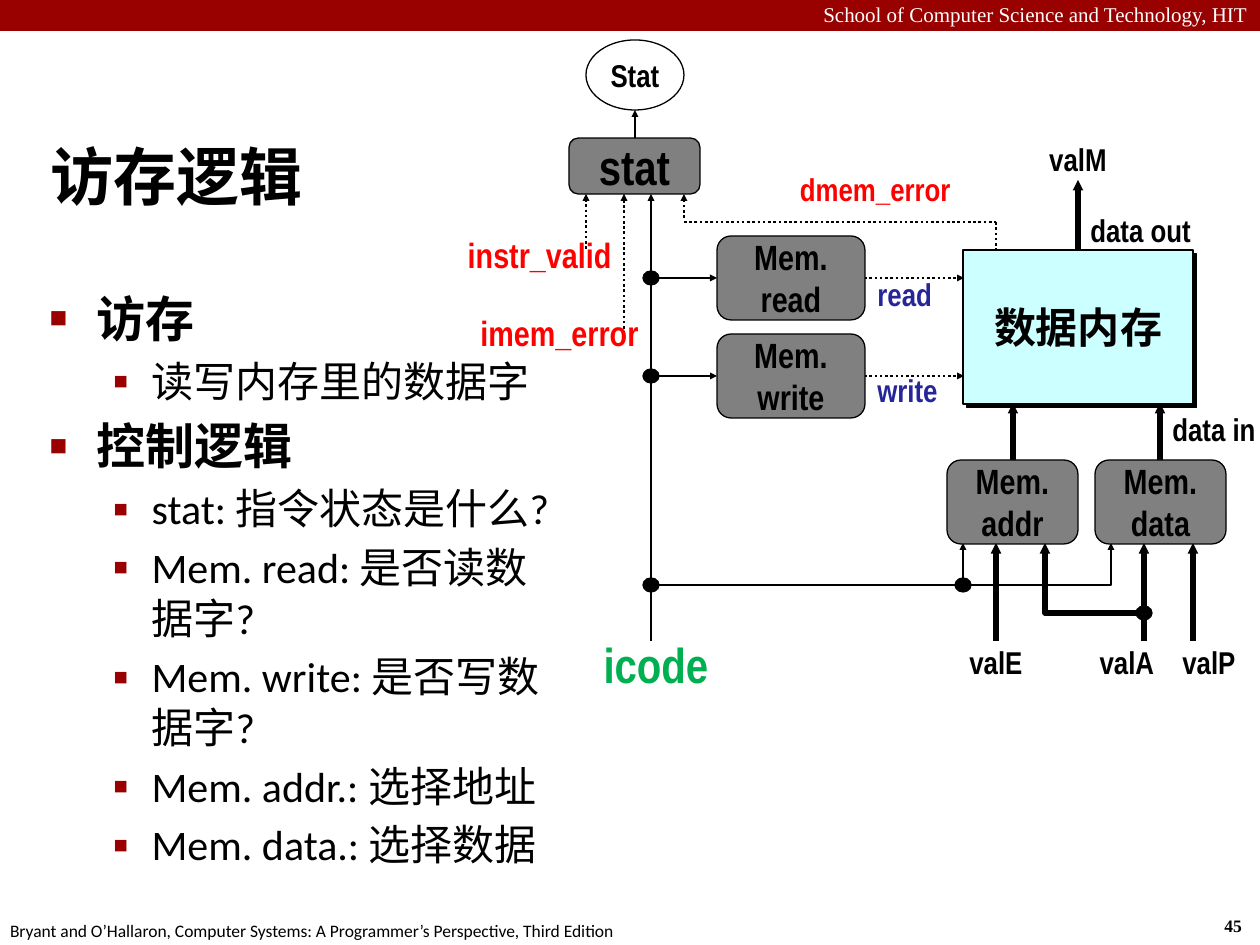
from dataclasses import dataclass

from lxml.etree import SubElement
from pptx import Presentation
from pptx.dml.color import RGBColor
from pptx.enum.dml import MSO_LINE
from pptx.enum.shapes import MSO_CONNECTOR, MSO_SHAPE
from pptx.enum.text import MSO_ANCHOR, MSO_AUTO_SIZE, PP_ALIGN
from pptx.oxml.ns import qn
from pptx.util import Pt

EMU_PER_PX = 914400 / 126


@dataclass(frozen=True)
class Theme:
    """Colours, fonts and type sizes of the slide."""
    red: str = "990000"
    white: str = "FFFFFF"
    black: str = "000000"
    grey: str = "808080"
    cyan: str = "CCFFFF"
    signal: str = "FF0000"
    control: str = "262699"
    green: str = "00B050"
    body_font: str = "Calibri"
    label_font: str = "Arial Narrow"
    header_font: str = "Times New Roman"
    title: int = 36
    large: int = 28
    medium: int = 24
    block: int = 20
    label: int = 18
    header: int = 12
    footer: int = 10
    thin: float = 0.75
    wire: float = 1
    dotted: float = 1.5
    bus: float = 3


THEME = Theme()


def px(value):
    """Turn pixels into EMU."""
    return round(value * EMU_PER_PX)


def rgb(value):
    """Turn a hex string into a colour."""
    return RGBColor.from_string(value)


def add_run(paragraph, text, size, font, color=THEME.black, bold=True):
    """Add one formatted run to a paragraph."""
    run = paragraph.add_run()
    run.text = text
    run.font.size = Pt(size)
    run.font.name = font
    run.font.bold = bold
    run.font.color.rgb = rgb(color)


def add_text(slide, box, text, size, color=THEME.black, font=THEME.label_font,
             bold=True, align=PP_ALIGN.LEFT, wrap=True):
    """Add a one-line text box."""
    frame = slide.shapes.add_textbox(*map(px, box)).text_frame
    frame.word_wrap = wrap
    if wrap and align == PP_ALIGN.LEFT:
        frame.margin_right = 0
    paragraph = frame.paragraphs[0]
    paragraph.alignment = align
    add_run(paragraph, text, size, font, color, bold)


def add_node(slide, kind, box, lines=(), size=THEME.label, fill=None,
             color=THEME.black, outline=True):
    """Add a preset shape with centred lines of text."""
    shape = slide.shapes.add_shape(kind, *map(px, box))
    shape.shadow.inherit = False
    if fill:
        shape.fill.solid()
        shape.fill.fore_color.rgb = rgb(fill)
    else:
        shape.fill.background()
    if outline:
        shape.line.color.rgb = rgb(THEME.black)
        shape.line.width = Pt(THEME.thin)
    else:
        shape.line.fill.background()
    frame = shape.text_frame
    frame.word_wrap = False
    frame.vertical_anchor = MSO_ANCHOR.MIDDLE
    for index, text in enumerate(lines):
        paragraph = frame.add_paragraph() if index else frame.paragraphs[0]
        paragraph.alignment = PP_ALIGN.CENTER
        add_run(paragraph, text, size, THEME.label_font, color)
    return shape


def add_hard_shadow(shape):
    """Give a shape a solid offset shadow."""
    effects = shape.element.spPr.find(qn("a:effectLst"))
    shadow = SubElement(effects, qn("a:outerShdw"), dist=str(Pt(2.8)),
                        dir="2700000", algn="ctr", rotWithShape="0")
    SubElement(shadow, qn("a:srgbClr"), val=THEME.black)


def style_wire(shape, width, dotted, arrow):
    """Format a wire and put an arrowhead at its end."""
    shape.line.color.rgb = rgb(THEME.black)
    shape.line.width = Pt(width)
    if dotted:
        shape.line.dash_style = MSO_LINE.ROUND_DOT
    if arrow:
        line = shape.element.spPr.find(qn("a:ln"))
        SubElement(line, qn("a:tailEnd"), type="triangle", w="sm", len="sm")


def add_wire(slide, start, end, width=THEME.wire, dotted=False, arrow=True):
    """Add a straight wire."""
    connector = slide.shapes.add_connector(
        MSO_CONNECTOR.STRAIGHT, *map(px, (*start, *end)))
    style_wire(connector, width, dotted, arrow)
    SubElement(connector.element.spPr, qn("a:effectLst"))


def add_bent_wire(slide, points, width=THEME.wire):
    """Add a wire that turns corners."""
    builder = slide.shapes.build_freeform(*points[0], scale=EMU_PER_PX)
    builder.add_line_segments(points[1:], close=False)
    shape = builder.convert_to_shape()
    shape.shadow.inherit = False
    shape.fill.background()
    style_wire(shape, width, False, True)


def place(placeholder, box):
    """Move a placeholder and return its text frame."""
    placeholder.left, placeholder.top, placeholder.width, placeholder.height = map(px, box)
    frame = placeholder.text_frame
    frame.auto_size = MSO_AUTO_SIZE.NONE
    frame.word_wrap = True
    return frame


def add_bullet(paragraph, level):
    """Set the bullet and indent of a list level."""
    margin, hang, mark, percent = [(47, 47, "■", 60), (102, 39, "▪", 110)][level]
    paragraph.level = level
    properties = paragraph._p.get_or_add_pPr()
    properties.set("marL", str(px(margin)))
    properties.set("indent", str(-px(hang)))
    color = SubElement(properties, qn("a:buClr"))
    SubElement(color, qn("a:srgbClr"), val=THEME.red)
    SubElement(properties, qn("a:buSzPct"), val=str(percent * 1000))
    SubElement(properties, qn("a:buChar"), char=mark)


def add_header_and_footer(slide):
    """Add the top band, the source line and the page number."""
    add_node(slide, MSO_SHAPE.RECTANGLE, (0, 0, 1260, 31), fill=THEME.red, outline=False)
    add_text(slide, (0, 0, 1260, 31), "School of Computer Science and Technology, HIT",
             THEME.header, THEME.white, THEME.header_font, False, PP_ALIGN.RIGHT)
    slide.shapes[-1].text_frame.margin_top = px(2)
    add_text(slide, (1212, 909, 47, 34), "45", THEME.footer,
             font=THEME.header_font, wrap=False)
    add_text(slide, (0, 914, 636, 31),
             "Bryant and O’Hallaron, Computer Systems: A Programmer’s Perspective, Third Edition",
             THEME.footer, font=THEME.body_font, bold=False, wrap=False)
    slide.shapes[-1].text_frame.margin_left = px(10)


def add_outline(slide):
    """Fill the title and the bullet list."""
    frame = place(slide.shapes.title, (38, 123, 301, 105))
    frame.vertical_anchor = MSO_ANCHOR.MIDDLE
    frame.paragraphs[0].alignment = PP_ALIGN.LEFT
    add_run(frame.paragraphs[0], "访存逻辑", THEME.title, THEME.body_font)
    items = [(0, "访存"), (1, "读写内存里的数据字"), (0, "控制逻辑"),
             (1, "stat: 指令状态是什么?"), (1, "Mem. read: 是否读数据字?"),
             (1, "Mem. write: 是否写数据字?"), (1, "Mem. addr.: 选择地址"),
             (1, "Mem. data.: 选择数据")]
    frame = place(slide.placeholders[1], (37, 282, 538, 626))
    for index, (level, text) in enumerate(items):
        paragraph = frame.add_paragraph() if index else frame.paragraphs[0]
        add_bullet(paragraph, level)
        if index == 0:
            paragraph.space_before = Pt(0)
        size = THEME.medium if level else THEME.large
        add_run(paragraph, text, size, THEME.body_font, bold=level == 0)


def add_wires(slide):
    """Draw buses, control wires and dotted signals."""
    for x, bottom, top in [(1144, 641, 543), (996, 641, 543), (1193, 641, 543),
                           (1013, 460, 403), (1160, 460, 403), (1078, 249, 180)]:
        add_wire(slide, (x, bottom), (x, top), THEME.bus)
    add_bent_wire(slide, [(1144, 613), (1045, 613), (1045, 543)], THEME.bus)
    add_bent_wire(slide, [(651, 585), (1111, 585), (1111, 543)])
    add_bent_wire(slide, [(651, 641), (651, 278), (717, 278)])
    for start, end in [((651, 376), (717, 376)), ((963, 585), (963, 543)),
                       ((651, 278), (651, 194)), ((635, 139), (635, 110))]:
        add_wire(slide, start, end)
    for start, end, arrow in [((864, 278), (964, 278), True), ((864, 376), (964, 376), True),
                              ((684, 222), (996, 222), False), ((996, 222), (996, 249), False),
                              ((624, 334), (624, 194), True), ((684, 218), (684, 194), True),
                              ((586, 249), (586, 194), True)]:
        add_wire(slide, start, end, THEME.dotted, True, arrow)
    for x, y in [(651, 278), (651, 376), (651, 585), (963, 585), (1144, 613)]:
        add_node(slide, MSO_SHAPE.OVAL, (x - 8, y - 7, 16, 14), fill=THEME.black)


def add_blocks(slide):
    """Draw the memory, the logic blocks and the status oval."""
    memory = add_node(slide, MSO_SHAPE.RECTANGLE, (963, 250, 230, 154),
                      ["数据内存"], THEME.medium, THEME.cyan)
    add_hard_shadow(memory)
    for box, lines, size in [((717, 236, 148, 84), ["Mem.", "read"], THEME.block),
                             ((717, 334, 148, 84), ["Mem.", "write"], THEME.block),
                             ((947, 460, 131, 84), ["Mem.", "addr"], THEME.block),
                             ((1095, 460, 131, 84), ["Mem.", "data"], THEME.block),
                             ((569, 138, 131, 56), ["stat"], THEME.large)]:
        add_node(slide, MSO_SHAPE.ROUNDED_RECTANGLE, box, lines, size, THEME.grey)
    add_node(slide, MSO_SHAPE.OVAL, (586, 40, 98, 70), ["Stat"], fill=THEME.white)


def add_labels(slide):
    """Name the values and signals."""
    for x, y, text in [(947, 627, "valE"), (1029, 124, "valM"),
                       (1078, 627, "valA"), (1160, 627, "valP")]:
        add_node(slide, MSO_SHAPE.OVAL, (x, y, 98, 70), [text], outline=False)
    add_node(slide, MSO_SHAPE.OVAL, (586, 627, 140, 73), ["icode"], THEME.large,
             color=THEME.green, outline=False)
    for box, text, color in [((865, 269, 131, 54), "read", THEME.control),
                             ((865, 365, 115, 54), "write", THEME.control),
                             ((1078, 205, 164, 54), "data out", THEME.black),
                             ((1160, 404, 100, 54), "data in", THEME.black)]:
        add_text(slide, box, text, THEME.label, color)
    for box, text, size in [((701, 164, 262, 54), "dmem_error", THEME.label),
                            ((422, 227, 202, 59), "instr_valid", THEME.block),
                            ((438, 305, 213, 59), "imem_error", THEME.block)]:
        add_text(slide, box, text, size, THEME.signal, align=PP_ALIGN.RIGHT)


def main():
    """Build and save the slide."""
    presentation = Presentation()
    presentation.slide_width, presentation.slide_height = px(1260), px(945)
    slide = presentation.slides.add_slide(presentation.slide_layouts[1])
    add_header_and_footer(slide)
    add_outline(slide)
    add_wires(slide)
    add_blocks(slide)
    add_labels(slide)
    presentation.save("out.pptx")


if __name__ == "__main__":
    main()
